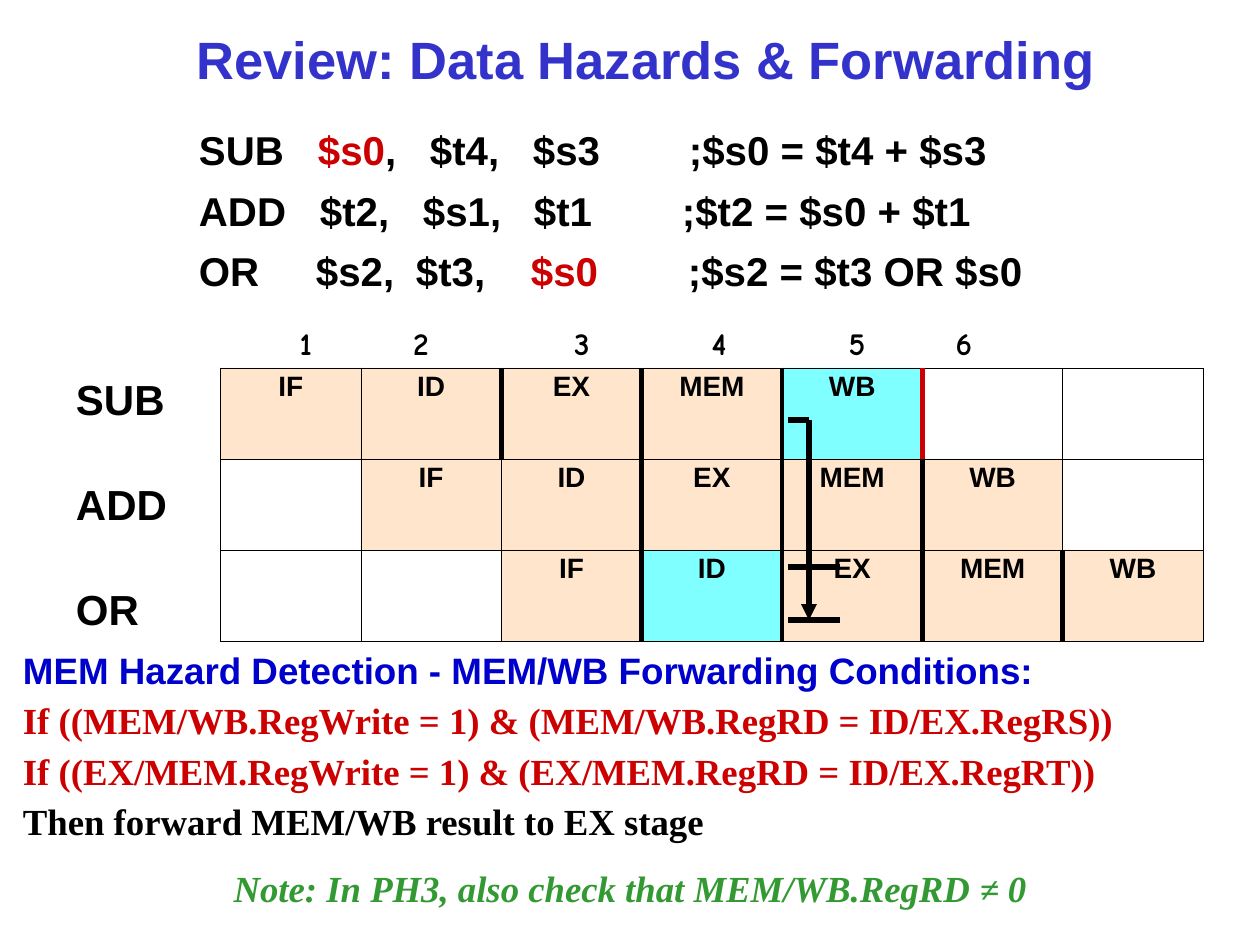
from lxml.etree import SubElement
from pptx import Presentation
from pptx.dml.color import RGBColor
from pptx.enum.shapes import MSO_CONNECTOR, MSO_SHAPE
from pptx.enum.text import MSO_ANCHOR, PP_ALIGN
from pptx.oxml.ns import qn
from pptx.util import Pt

SCALE = 914400 / 126
THEME = {
    "title": {"size": 30, "name": "Arial", "bold": True, "color": "3333CC"},
    "code": {"size": 23, "name": "Arial", "bold": True, "color": "000000"},
    "code_hot": {"size": 23, "name": "Arial", "bold": True, "color": "CC0000"},
    "label": {"size": 24, "name": "Arial", "bold": True, "color": "000000"},
    "cycle": {"size": 18, "name": "Comic Neue", "bold": True, "color": "000000"},
    "stage": {"size": 16, "name": "Arial", "bold": True, "color": "000000"},
    "heading": {"size": 21, "name": "Arial", "bold": True, "color": "0000CC"},
    "condition": {"size": 21, "name": "Times New Roman", "bold": True, "color": "CC0000"},
    "result": {"size": 21, "name": "Times New Roman", "bold": True, "color": "000000"},
    "note": {"size": 21, "name": "Times New Roman", "bold": True, "italic": True,
             "color": "339933"},
    "note_sign": {"size": 20, "name": "Times New Roman", "bold": True, "italic": True,
                  "color": "339933"},
    "normal": "FFCC99", "active": "00FFFF", "line": "000000", "alert": "CC0000",
    "thin": 0.45, "thick": 3,
}

# Content: text spans are (text, style); tab stops are slide x positions
TITLE = [("Review: Data Hazards & Forwarding", "title")]
CODE_LEFT = 199
CODE = [
    ([("SUB\t", "code"), ("$s0", "code_hot"), (",\t$t4,\t$s3\t;$s0 = $t4 + $s3", "code")],
     (318, 430, 533, 689)),
    ([("ADD\t$t2,\t$s1,\t$t1\t;$t2 = $s0 + $t1", "code")], (320, 423, 534, 682)),
    ([("OR\t$s2,\t$t3,\t", "code"), ("$s0", "code_hot"), ("\t;$s2 = $t3 OR $s0", "code")],
     (316, 416, 531, 688)),
]
LABELS = ["SUB", "ADD", "OR"]
CYCLE_CENTERS = (306, 421, 582, 719, 857, 964)
STAGES = ["IF", "ID", "EX", "MEM", "WB"]
COLUMNS = 7
ACTIVE = {(0, 4), (2, 3)}
REGISTERS = [range(2, 6), range(3, 6), range(3, 7)]  # thick column edges by row
ALERT_EDGE = (0, 5)
CONDITIONS = [
    ("MEM Hazard Detection - MEM/WB Forwarding Conditions:", "heading"),
    ("If ((MEM/WB.RegWrite = 1) & (MEM/WB.RegRD = ID/EX.RegRS))", "condition"),
    ("If ((EX/MEM.RegWrite = 1) & (EX/MEM.RegRD = ID/EX.RegRT))", "condition"),
    ("Then forward MEM/WB result to EX stage", "result"),
]
NOTE = [("Note: In PH3, also check that MEM/WB.RegRD ", "note"),
        ("≠ ", "note_sign"), ("0", "note")]
FORWARD_LINES = [  # x1, y1, x2, y2, arrow
    (788, 567, 840, 567, False), (788, 620, 840, 620, False),
    (809, 420, 809, 620, True), (788, 420, 809, 420, False),
]


def px(n):
    return round(n * SCALE)


def write(p, spans, tabs=(), tab_align="l", **layout):
    """Fill one paragraph with styled spans."""
    if tabs:
        stops = SubElement(p._p.get_or_add_pPr(), qn("a:tabLst"))
        for x in tabs:
            SubElement(stops, qn("a:tab"), pos=str(px(x)), algn=tab_align)
    for key, value in layout.items():
        setattr(p, key, value)
    for text, style in spans:
        r = p.add_run()
        r.text = text
        for key, value in THEME[style].items():
            if key == "color":
                r.font.color.rgb = RGBColor.from_string(value)
            else:
                setattr(r.font, key, Pt(value) if key == "size" else value)


def frame(sp, left=13, top=6, anchor=MSO_ANCHOR.TOP):
    tf = sp.text_frame
    for key, value in {"word_wrap": True, "vertical_anchor": anchor,
                       "margin_left": px(left), "margin_top": px(top),
                       "margin_right": px(13), "margin_bottom": px(6)}.items():
        setattr(tf, key, value)
    return tf


def text_box(s, box, **options):
    return frame(s.shapes.add_textbox(*map(px, box)), **options)


def paragraph(tf, i):
    return tf.add_paragraph() if i else tf.paragraphs[0]


def border(cell, index, side, color, width):
    ln = SubElement(cell._tc.get_or_add_tcPr(), qn("a:ln" + side), w=str(Pt(width)))
    SubElement(SubElement(ln, qn("a:solidFill")), qn("a:srgbClr"), val=color)
    cell._tc.tcPr.insert(index, ln)


def edge(row, col):
    color = THEME["alert"] if (row, col) == ALERT_EDGE else THEME["line"]
    return color, THEME["thick" if col in REGISTERS[row] else "thin"]


def pipeline(s, left, top, width, row_height):
    rows = len(LABELS)
    table = s.shapes.add_table(rows, COLUMNS, px(left), px(top), px(width),
                               px(rows * row_height)).table
    table.first_row = table.horz_banding = False
    for col in table.columns:
        col.width = px(width / COLUMNS)
    for i, row in enumerate(table.rows):
        row.height = px(row_height)
        for j, cell in enumerate(row.cells):
            for side in ("left", "top", "right", "bottom"):
                setattr(cell, "margin_" + side, px(6))
            if i <= j < i + len(STAGES):
                write(cell.text_frame.paragraphs[0], [(STAGES[j - i], "stage")],
                      alignment=PP_ALIGN.CENTER, line_spacing=0.9)
                cell.fill.solid()
                cell.fill.fore_color.rgb = RGBColor.from_string(
                    THEME["active" if (i, j) in ACTIVE else "normal"])
                color = cell._tc.tcPr.find(".//" + qn("a:srgbClr"))
                SubElement(color, qn("a:alpha"), val="50000")
            else:
                cell.fill.background()
            plain = (THEME["line"], THEME["thin"])
            sides = {"L": edge(i, j), "R": edge(i, j + 1), "T": plain, "B": plain}
            for k, (side, look) in enumerate(sides.items()):
                border(cell, k, side, *look)


def forward_line(s, x1, y1, x2, y2, arrow):
    c = s.shapes.add_connector(MSO_CONNECTOR.STRAIGHT, *map(px, (x1, y1, x2, y2)))
    c.line.color.rgb = RGBColor.from_string(THEME["line"])
    c.line.width = Pt(THEME["thick"])
    if arrow:
        SubElement(c.line._get_or_add_ln(), qn("a:tailEnd"), type="triangle")
    SubElement(c._element.spPr, qn("a:effectLst"))


def main():
    prs = Presentation()
    prs.slide_width, prs.slide_height = px(1260), px(945)
    s = prs.slides.add_slide(prs.slide_layouts[6])

    # Title and instructions
    tf = text_box(s, (32, 21, 1228, 84), anchor=MSO_ANCHOR.MIDDLE)
    write(tf.paragraphs[0], TITLE, alignment=PP_ALIGN.CENTER, line_spacing=0.9)
    tf = text_box(s, (21, 105, 1207, 315), left=CODE_LEFT - 21, top=26)
    for i, (spans, stops) in enumerate(CODE):
        write(paragraph(tf, i), spans, [x - CODE_LEFT for x in stops],
              line_spacing=0.9, space_before=Pt(9.6 if i else 0))

    # Pipeline diagram
    tf = text_box(s, (63, 368, 126, 267))
    for i, name in enumerate(LABELS):
        write(paragraph(tf, i), [(name, "label")], space_before=Pt(31 if i else 0))
    pipeline(s, 220.5, 368, 983, 91)
    for line in FORWARD_LINES:
        forward_line(s, *line)

    # Forwarding conditions
    sp = s.shapes.add_shape(MSO_SHAPE.ROUNDED_RECTANGLE, *map(px, (0, 640, 1260, 273)))
    sp.adjustments[0] = 0.125
    sp.shadow.inherit = False
    sp.fill.background()
    sp.line.fill.background()
    tf = frame(sp)
    for i, span in enumerate(CONDITIONS):
        write(paragraph(tf, i), [span], alignment=PP_ALIGN.LEFT, line_spacing=0.8,
              space_before=Pt(8.7 if i else 0))
    write(tf.add_paragraph(), NOTE, alignment=PP_ALIGN.CENTER, line_spacing=0.8,
          space_before=Pt(18))

    # Cycle numbers
    tf = text_box(s, (116, 318, 1008, 50))
    numbers = "".join(f"\t{n}" for n in range(1, len(CYCLE_CENTERS) + 1))
    write(tf.paragraphs[0], [(numbers, "cycle")],
          [x - 116 - 13 for x in CYCLE_CENTERS], "ctr")

    prs.save("out.pptx")


if __name__ == "__main__":
    main()
